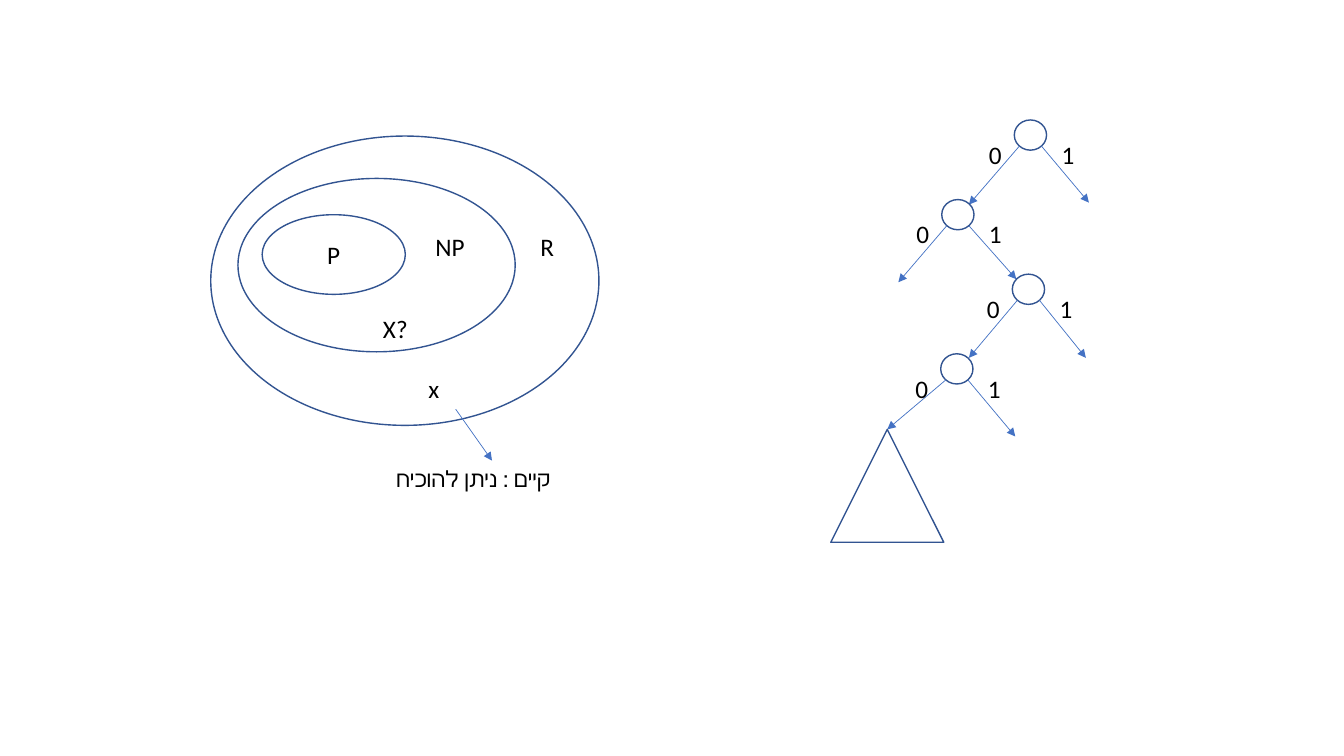
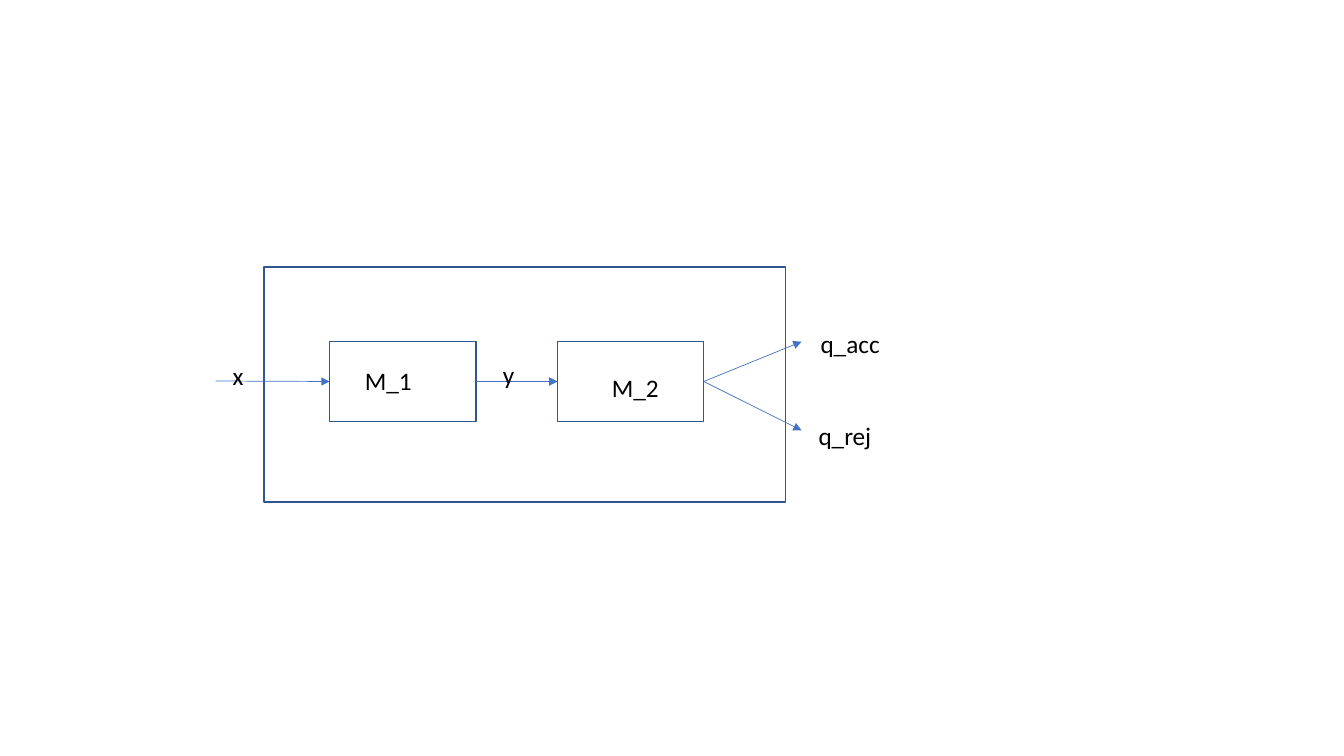
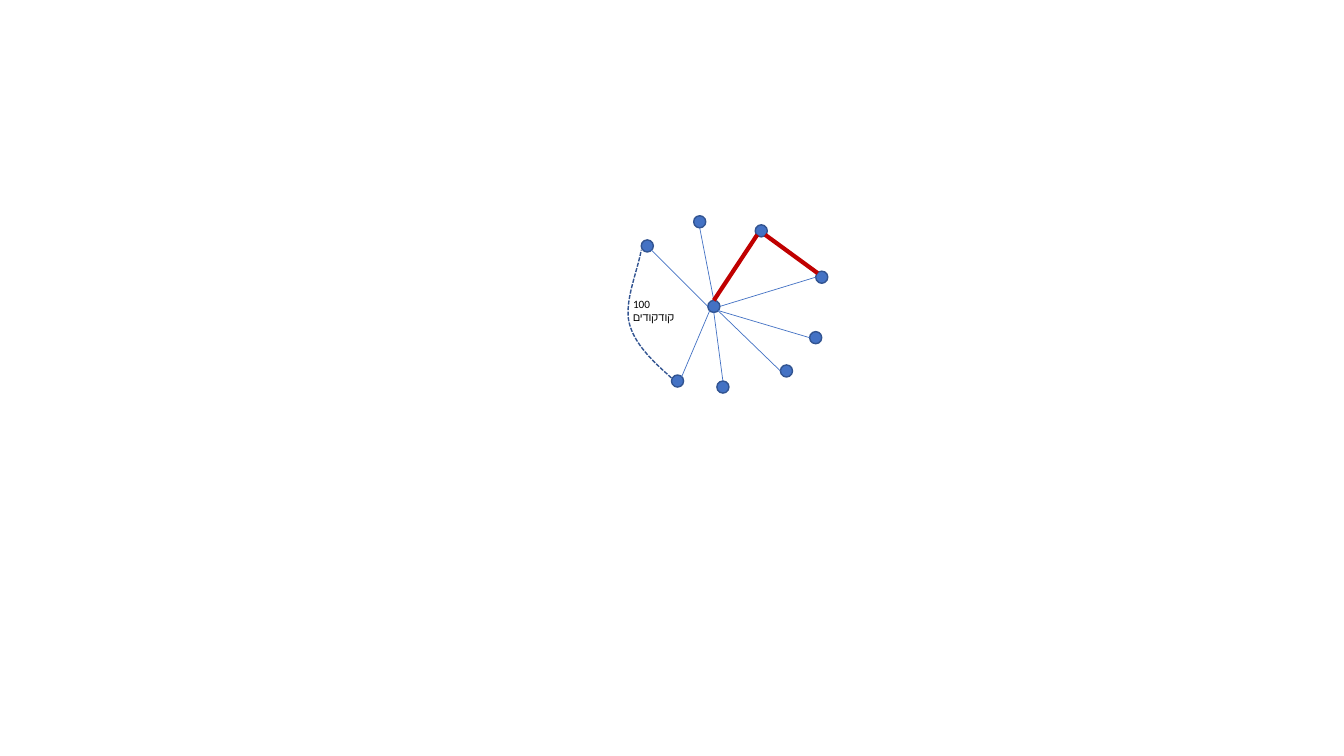
from dataclasses import dataclass
from typing import NamedTuple

from lxml.etree import SubElement
from pptx import Presentation
from pptx.dml.color import RGBColor
from pptx.enum.dml import MSO_LINE
from pptx.enum.shapes import MSO_CONNECTOR, MSO_SHAPE as Preset
from pptx.enum.text import MSO_ANCHOR, MSO_AUTO_SIZE, PP_ALIGN
from pptx.oxml.ns import qn
from pptx.shapes.autoshape import Shape
from pptx.shapes.connector import Connector
from pptx.slide import Slide
from pptx.util import Inches, Pt

BLUE, OUTLINE, RED, BLACK = "4472C4", "325491", "C00000", "000000"
FONT = "Calibri"
BLANK_LAYOUT = 6


class Point(NamedTuple):
    x: float
    y: float


class Label(NamedTuple):
    text: str
    left: float
    top: float
    width: float
    height: float


@dataclass(frozen=True)
class TreeNode:
    """A branching node: its top-left corner and where its two arrows end."""
    left: float
    top: float
    zero_end: Point
    one_end: Point


@dataclass(frozen=True)
class Vertex:
    """A graph vertex, placed by the top-left corner of its dot."""
    left: float
    top: float

    def site(self, compass: str) -> Point:
        """Point on the dot's rim in a compass direction such as N or SW."""
        reach = VERTEX_SIZE / 2 if len(compass) == 1 else 0.04
        across = ("E" in compass) - ("W" in compass)
        down = ("S" in compass) - ("N" in compass)
        middle = VERTEX_SIZE / 2
        return Point(self.left + middle + reach * across, self.top + middle + reach * down)


class Edge(NamedTuple):
    start: Point
    end: Point
    color: str = BLUE
    weight: float = 0.5


VERTEX_SIZE = 0.12
NODE_WIDTH, NODE_HEIGHT = 0.32, 0.3


def rgb(color: str) -> RGBColor:
    return RGBColor.from_string(color)


def write(shape: Shape, text: str, *, size: float = 18, color: str = BLACK,
          align: PP_ALIGN | None = None, anchor: MSO_ANCHOR | None = None,
          wrap: bool = True) -> None:
    frame = shape.text_frame
    frame.text = text
    frame.word_wrap = wrap
    if anchor is not None:
        frame.vertical_anchor = anchor
    for para in frame.paragraphs:
        para.alignment = align
        for span in para.runs:
            span.font.name = FONT
            span.font.size = Pt(size)
            span.font.color.rgb = rgb(color)


def add_label(slide: Slide, label: Label, *, size: float = 18, wrap: bool = True) -> None:
    box = slide.shapes.add_textbox(*map(Inches, label[1:]))
    write(box, label.text, size=size, wrap=wrap)
    box.text_frame.auto_size = MSO_AUTO_SIZE.SHAPE_TO_FIT_TEXT


def style_outline(shape: Shape, fill: str | None = None) -> None:
    shape.shadow.inherit = False
    shape.line.color.rgb = rgb(OUTLINE)
    shape.line.width = Pt(1)
    if fill:
        shape.fill.solid()
        shape.fill.fore_color.rgb = rgb(fill)
    else:
        shape.fill.background()


def add_outline(slide: Slide, preset: Preset, left: float, top: float, width: float,
                height: float, fill: str | None = None) -> Shape:
    shape = slide.shapes.add_shape(preset, *map(Inches, (left, top, width, height)))
    style_outline(shape, fill)
    return shape


def add_line(slide: Slide, start: Point, end: Point, *, color: str = BLUE,
             weight: float = 0.5, arrow: bool = False) -> Connector:
    line = slide.shapes.add_connector(MSO_CONNECTOR.STRAIGHT, *map(Inches, (*start, *end)))
    line.line.color.rgb = rgb(color)
    line.line.width = Pt(weight)
    properties = line._element.spPr
    if arrow:
        SubElement(properties.find(qn("a:ln")), qn("a:tailEnd"), type="triangle")
    SubElement(properties, qn("a:effectLst"))
    return line


def bezier(p0: Point, p1: Point, p2: Point, p3: Point, steps: int = 24) -> list[Point]:
    """Points along a cubic curve, without its first one."""
    points = []
    for step in range(1, steps + 1):
        t = step / steps
        weights = ((1 - t) ** 3, 3 * t * (1 - t) ** 2, 3 * t * t * (1 - t), t ** 3)
        points.append(Point(*(sum(w * c for w, c in zip(weights, axis))
                              for axis in zip(p0, p1, p2, p3))))
    return points


def add_complexity_classes(slide: Slide) -> None:
    add_outline(slide, Preset.OVAL, 2.09, 1.35, 3.85, 2.87)
    add_outline(slide, Preset.OVAL, 2.36, 1.77, 2.75, 1.72)
    class_p = add_outline(slide, Preset.OVAL, 2.6, 2.13, 1.42, 0.79)
    write(class_p, "P", align=PP_ALIGN.CENTER, anchor=MSO_ANCHOR.MIDDLE)
    for label in (Label("NP", 4.22, 2.25, 0.66, 0.4), Label("R", 5.26, 2.25, 0.68, 0.4),
                  Label("x", 4.15, 3.65, 0.73, 0.4)):
        add_label(slide, label)
    add_label(slide, Label("X?", 3.7, 3.06, 0.45, 0.4), wrap=False)
    add_line(slide, Point(4.52, 4.06), Point(4.88, 4.57), arrow=True)
    add_label(slide, Label("קיים : ניתן להוכיח", 3.83, 4.57, 2.09, 0.37), size=16)


def add_binary_tree(slide: Slide) -> None:
    nodes = (
        TreeNode(10.06, 1.19, Point(9.61, 2.03), Point(10.8, 2.01)),
        TreeNode(9.34, 1.98, Point(8.91, 2.8), Point(10.08, 2.77)),
        TreeNode(10.04, 2.72, Point(9.61, 3.55), Point(10.77, 3.55)),
        TreeNode(9.33, 3.51, Point(8.8, 4.26), Point(10.07, 4.33)),
    )
    for node in nodes:
        add_outline(slide, Preset.OVAL, node.left, node.top, NODE_WIDTH, NODE_HEIGHT)
        for inset, end in ((0.05, node.zero_end), (0.27, node.one_end)):
            add_line(slide, Point(node.left + inset, node.top + 0.26), end, arrow=True)
        add_label(slide, Label("0", node.left - 0.35, node.top + 0.14, 0.46, 0.31))
        add_label(slide, Label("1", node.left + 0.37, node.top + 0.14, 0.32, 0.31))
    add_outline(slide, Preset.ISOSCELES_TRIANGLE, 8.24, 4.26, 1.12, 1.12)


def add_machine_chain(slide: Slide) -> None:
    add_outline(slide, Preset.RECTANGLE, 2.62, 2.65, 5.17, 2.33)
    first, second = (add_outline(slide, Preset.RECTANGLE, left, 3.39, 1.45, 0.79)
                     for left in (3.27, 5.53))
    axis = 3.78
    add_line(slide, Point(2.14, axis), Point(3.27, axis), arrow=True).end_connect(first, 1)
    link = add_line(slide, Point(4.72, axis), Point(5.53, axis), arrow=True)
    link.begin_connect(first, 3)
    link.end_connect(second, 1)
    for end_y in (3.39, 4.27):
        verdict = add_line(slide, Point(6.98, axis), Point(7.95, end_y), arrow=True)
        verdict.begin_connect(second, 3)
    for text, left, top in (("M_1", 3.52, 3.58), ("M_2", 5.97, 3.64), ("x", 2.21, 3.53),
                            ("y", 4.89, 3.52), ("q_acc", 8.04, 3.21), ("q_rej", 8.02, 4.12)):
        add_label(slide, Label(text, left, top, 0.86, 0.3))


def add_star_graph(slide: Slide) -> None:
    hub = Vertex(7.02, 2.98)
    top, upper_right, right = Vertex(6.88, 2.14), Vertex(7.49, 2.23), Vertex(8.09, 2.69)
    lower_right, lower, bottom = Vertex(8.03, 3.29), Vertex(7.74, 3.62), Vertex(7.11, 3.78)
    lower_left, upper_left = Vertex(6.66, 3.72), Vertex(6.36, 2.38)
    for vertex in (hub, top, upper_right, right, lower_right, lower, bottom,
                   lower_left, upper_left):
        add_outline(slide, Preset.OVAL, vertex.left, vertex.top, VERTEX_SIZE, VERTEX_SIZE,
                    fill=BLUE)
    for edge in (
        Edge(hub.site("N"), top.site("S")),
        Edge(hub.site("N"), upper_right.site("SW"), RED, 3),
        Edge(hub.site("E"), right.site("W")),
        Edge(hub.site("SE"), lower_right.site("W")),
        Edge(hub.site("SE"), lower.site("W")),
        Edge(hub.site("S"), bottom.site("N")),
        Edge(hub.site("W"), upper_left.site("SE")),
        Edge(hub.site("SW"), lower_left.site("NE")),
        Edge(right.site("NW"), upper_right.site("SE"), RED, 3),
    ):
        add_line(slide, edge.start, edge.end, color=edge.color, weight=edge.weight)

    start, middle, end = Point(6.66, 3.75), Point(6.24, 3.2), Point(6.36, 2.48)
    curve = (bezier(start, Point(6.47, 3.58), Point(6.29, 3.41), middle)
             + bezier(middle, Point(6.19, 2.99), Point(6.33, 2.67), end))
    builder = slide.shapes.build_freeform(*map(Inches, start))
    builder.add_line_segments([(Inches(x), Inches(y)) for x, y in curve], close=False)
    arc = builder.convert_to_shape()
    style_outline(arc)
    arc.line.dash_style = MSO_LINE.SQUARE_DOT
    add_label(slide, Label("100\nקודקודים", 6.18, 2.9, 0.69, 0.37), size=8)


def main() -> None:
    deck = Presentation()
    deck.slide_width, deck.slide_height = Inches(13.33), Inches(7.5)
    for drawings in ((add_complexity_classes, add_binary_tree), (add_machine_chain,),
                     (add_star_graph,)):
        slide = deck.slides.add_slide(deck.slide_layouts[BLANK_LAYOUT])
        for draw in drawings:
            draw(slide)
    deck.save("out.pptx")


if __name__ == "__main__":
    main()
